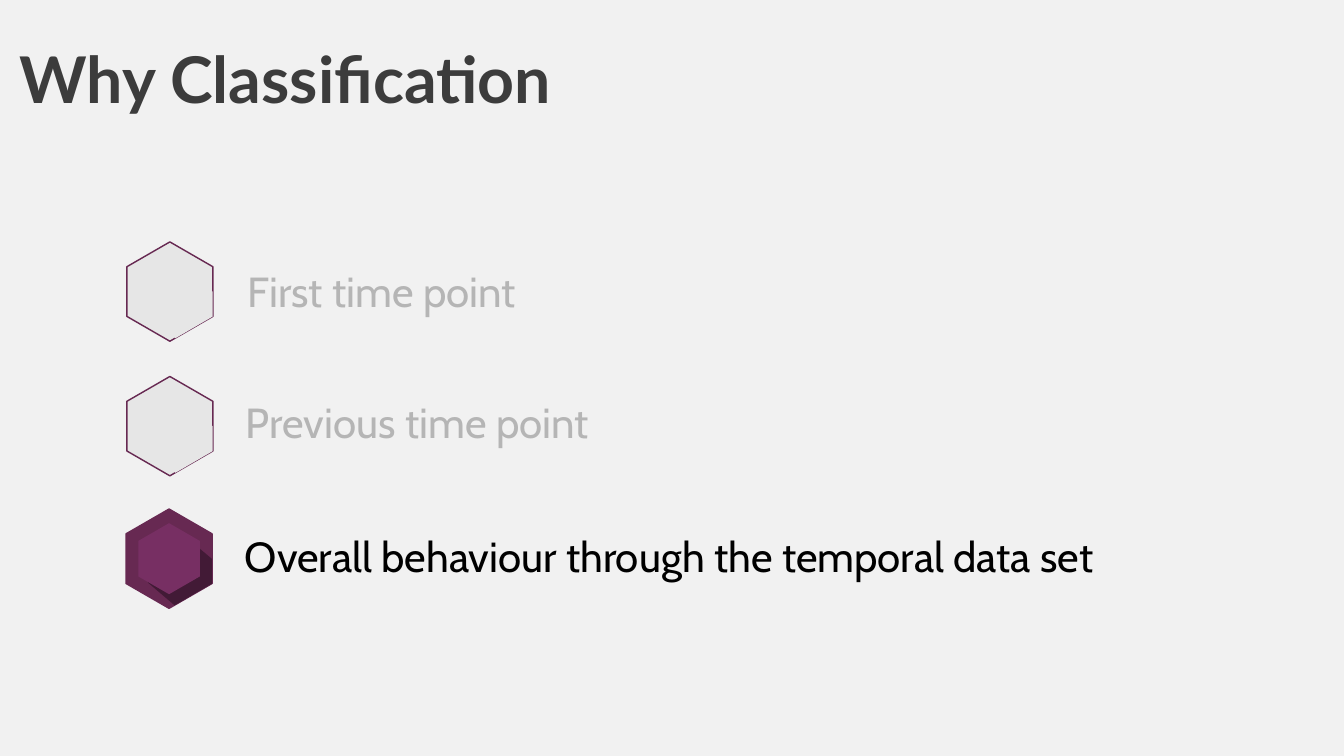
from math import cos, pi, sin

from pptx import Presentation
from pptx.dml.color import RGBColor as Rgb
from pptx.enum.text import MSO_ANCHOR as Anchor, MSO_AUTO_SIZE as Fit, PP_ALIGN as Align
from pptx.util import Inches, Pt

PAPER = Rgb(0xF1, 0xF1, 0xF1)
SLATE = Rgb(0x3C, 0x3C, 0x3C)
MIST = Rgb(0xE6, 0xE6, 0xE6)
GREY = Rgb(0xB5, 0xB5, 0xB5)
BLACK = Rgb(0, 0, 0)
PLUM = Rgb(0x67, 0x29, 0x52)
SHADE = Rgb(0x42, 0x1A, 0x36)
CORE = Rgb(0x77, 0x2F, 0x63)

FADED = (MIST, MIST, MIST)
LIVE = (PLUM, SHADE, CORE)

# Outer and inner radius, then the cast shade around the centre, in % of slide height
OUTER, INNER = 6.57, 4.7
CAST = [(0.73, 6.17), (5.67, 3.3), (5.67, 0.03), (3.93, -1.43), (-2.8, 3.17)]

# Text, text colour, hexagon colours, hexagon centre, text box left, top, width
ITEMS = [
    ("First time point", GREY, FADED, (12.64, 38.57), (18.04, 34.73, 79.19)),
    ("Previous time point", GREY, FADED, (12.64, 56.37), (17.92, 52.07, 78.78)),
    ("Overall behaviour through the temporal data set", BLACK, LIVE,
     (12.58, 73.9), (17.85, 69.87, 78.78)),
]


def put(obj, vals):
    """Set each attribute named in a dict."""
    for name, val in vals.items():
        setattr(obj, name, val)


def hexa(size):
    """Corners of a hexagon that stands on a point."""
    turns = [pi / 3 * i - pi / 2 for i in range(6)]
    return [(size * cos(t), size * sin(t)) for t in turns]


class Deck:
    """Slide and style; lengths are percentages of the slide's width and height."""

    def __init__(self, wide, high):
        self.prs = Presentation()
        put(self.prs, {"slide_width": Inches(wide), "slide_height": Inches(high)})
        self.col = self.prs.slide_width / 100
        self.row = self.prs.slide_height / 100
        self.slide = self.prs.slides.add_slide(self.prs.slide_layouts[5])
        fill = self.slide.background.fill
        fill.solid()
        fill.fore_color.rgb = PAPER

    def box(self, left, top, wide, high):
        return [round(v) for v in (left * self.col, top * self.row,
                                   wide * self.col, high * self.row)]

    def words(self, shape, text, font, color, frame, para):
        put(shape.text_frame, {"text": text, "word_wrap": True, **frame})
        line = shape.text_frame.paragraphs[0]
        put(line, {"alignment": Align.LEFT, **para})
        put(line.runs[0].font, font)
        line.runs[0].font.color.rgb = color

    def title(self, text, area):
        head = self.slide.shapes.title
        put(head, dict(zip(("left", "top", "width", "height"), self.box(*area))))
        sides = ("left", "top", "right", "bottom")
        frame = {f"margin_{side}": 0 for side in sides}
        frame |= {"vertical_anchor": Anchor.MIDDLE, "auto_size": Fit.NONE}
        font = {"name": "Lato", "size": Pt(92), "bold": True}
        self.words(head, text, font, SLATE, frame, {})

    def label(self, text, color, area):
        shape = self.slide.shapes.add_textbox(*self.box(*area))
        self.words(shape, text, {"name": "Cabin", "size": Pt(60)}, color,
                   {"auto_size": Fit.SHAPE_TO_FIT_TEXT},
                   {"space_before": Pt(12), "space_after": Pt(12)})

    def form(self, group, spot, pts, color, edge=None):
        """Draw a polygon whose points are offsets from spot in % of height."""
        x, y = spot[0] * self.col, spot[1] * self.row
        ring = [(x + dx * self.row, y + dy * self.row) for dx, dy in pts]
        pen = group.shapes.build_freeform(*ring[0], scale=1.0)
        pen.add_line_segments(ring[1:], close=True)
        shape = pen.convert_to_shape()
        shape.shadow.inherit = False
        shape.fill.solid()
        shape.fill.fore_color.rgb = color
        if edge is None:
            shape.line.fill.background()
        else:
            shape.line.color.rgb = edge
            shape.line.width = Pt(2)

    def badge(self, spot, tones):
        group = self.slide.shapes.add_group_shape()
        base, shade, core = tones
        self.form(group, spot, hexa(OUTER), base, PLUM)
        self.form(group, spot, CAST, shade)
        self.form(group, spot, hexa(INNER), core)


def main():
    deck = Deck(26.67, 15)
    deck.title("Why Classification", (1.46, 4.8, 59.06, 11))
    for text, color, tones, spot, (left, top, wide) in ITEMS:
        deck.badge(spot, tones)
        deck.label(text, color, (left, top, wide, 7.4))
    deck.prs.save("out.pptx")


if __name__ == "__main__":
    main()
